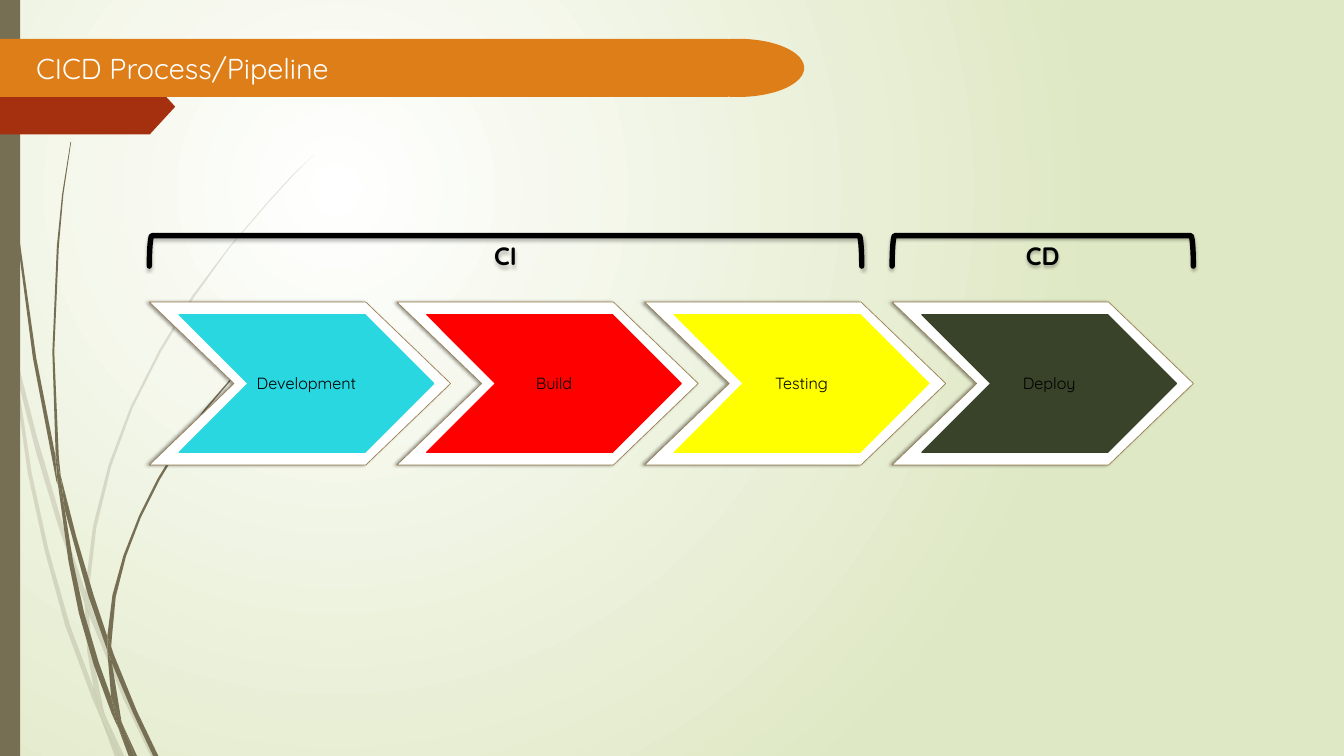
"""Build the CICD pipeline slide."""
from dataclasses import dataclass
from typing import NamedTuple, Optional

from lxml.etree import SubElement
from pptx import Presentation
from pptx.dml.color import RGBColor
from pptx.enum.shapes import MSO_SHAPE as Preset
from pptx.enum.text import MSO_ANCHOR as Anchor, PP_ALIGN as Align
from pptx.oxml.ns import qn
from pptx.util import Emu, Inches, Pt

CELL = Inches(0.1)  # one square grid cell; every length below counts cells
COLUMNS, ROWS = 207.9, 116.9


@dataclass(frozen=True)
class Theme:
    """Colours, font and type sizes of the slide."""
    font: str = "Quicksand"
    title_size: int = 32
    bracket_size: int = 28
    stage_size: int = 18
    white: str = "FFFFFF"
    black: str = "000000"
    meadow: str = "DFE8C4"
    bark: str = "766F54"
    rust: str = "A53010"
    orange: str = "DE7E18"
    frame_line: str = "987D4D"


Box = NamedTuple("Box", [("left", float), ("top", float), ("width", float), ("height", float)])
Shadow = NamedTuple("Shadow", [("opacity", int), ("blur", int), ("distance", int), ("angle", int)])
Stage = NamedTuple("Stage", [("name", str), ("colour", str)])
Bracket = NamedTuple("Bracket", [("name", str), ("left", float), ("width", float)])
Outline = list[tuple[float, float]]

THEME = Theme()
FRAME = Box(23.1, 46.7, 46.6, 25.2)
PITCH, BRACKET_GAP = 38.3, 4.7
INSET_X, INSET_Y, CORE_WIDTH = 4.6, 1.95, 39.4
FRAME_SHADOW, BRACKET_SHADOW = Shadow(40, 4, 3, 180), Shadow(25, 3, 2, 90)
BRACKET_TOP, BRACKET_HEIGHT = 36.45, 4.7
STAGES = [Stage("Development", "28D7E0"), Stage("Build", "FF0000"),
          Stage("Testing", "FFFF00"), Stage("Deploy", "39432A")]
BRACKETS = [Bracket("CI", FRAME.left, 3 * PITCH - BRACKET_GAP),
            Bracket("CD", FRAME.left + 3 * PITCH, FRAME.width)]
PALE_OPACITY = 20
PALE_GRASS: list[Outline] = [
    [(1.7, 54.6), (1.3, 50.2), (0, 43.9), (0, 46.7), (1.6, 53.6)],
    [(9, 81.3), (13.1, 93.4), (13.2, 91.4), (9.7, 81.1), (5.7, 67.5), (2.2, 53.8), (2.7, 58.6),
     (5.6, 70)],
    [(14.4, 94.6), (13.8, 92.9), (13.8, 95.2), (19.1, 108.1), (23.4, 117.1), (24.2, 117.1),
     (19.8, 107.8)],
    [(18.6, 117.1), (19.3, 117.1), (16.4, 110.9)],
    [(14.5, 106.5), (10.8, 96.6), (7.5, 85), (4.9, 73.1), (2.7, 58.6), (1.7, 54.6), (4.3, 73.2),
     (6.9, 85.1), (10.1, 96.8), (14.3, 108.1), (15.7, 111.3), (15.4, 110.2)],
    [(13.1, 93.4), (13.5, 100.7), (14.5, 106.5), (15, 107.9), (16.4, 110.9), (16.1, 110.1),
     (14.2, 100.7), (13.8, 95.2), (13.7, 94.8)],
    [(13.8, 91), (14.9, 81.6), (17.2, 72.1), (20.5, 63.1), (24.9, 54.4), (30, 46), (35.6, 38.2),
     (41.9, 30.9), (45.2, 27.3), (48.6, 23.9), (45.1, 27.2), (41.8, 30.8), (35.5, 38.1),
     (29.7, 45.8), (24.6, 54.2), (20.2, 62.9), (16.8, 71.9), (14.4, 81.3), (13.2, 91),
     (13.2, 91.4), (13.8, 92.9)],
    [(15.7, 111.3), (17.8, 117.1), (18.5, 117.1)],
    [(13.7, 94.9), (13.8, 95.2), (13.8, 92.9), (13.2, 91.4), (13.1, 93.4)],
    [(15, 107.9), (14.5, 106.5), (15.4, 110.3), (15.7, 111.4), (18.5, 117.1), (18.6, 117.1),
     (16.4, 110.9)]]
DARK_GRASS: list[Outline] = [
    [(1, 17.1), (2.6, 36.3), (5.1, 55.4), (8.7, 74.3), (8.9, 75), (8.6, 71.3), (8.6, 70.6),
     (5.6, 55.3), (2.9, 36.2), (1.2, 17), (0.7, 7.5), (0.5, 0), (0.5, 7.5)],
    [(13.7, 92.3), (16.6, 100.6), (16.6, 98.4), (14.5, 92.1), (11.8, 83), (9.4, 73.6),
     (10, 78.8)],
    [(17.6, 101.2), (17.2, 100), (17.2, 102.3), (20.6, 110.3), (23.7, ROWS), (24.5, ROWS),
     (21.2, 110)],
    [(17.2, 107.8), (15.3, 102.5), (13, 94.7), (11.3, 86.8), (10, 78.7), (8.9, 74.4),
     (10.6, 86.8), (12.2, 94.8), (14.5, 102.8), (17.3, 110.4), (18.3, 112.6), (18.1, 111.8)],
    [(9.4, 73.6), (9.1, 70.7), (8.4, 54.4), (9.1, 38.1), (9.8, 30.1), (11, 22), (10.9, 22),
     (9.6, 30.1), (8.8, 38.1), (8.1, 54.4), (8.6, 70), (9.3, 73.5)],
    [(20.8, ROWS), (21.2, ROWS), (19, 112.1)],
    [(8.9, 74.4), (10, 78.8), (9.4, 73.6), (9.3, 73.6), (8.6, 70), (8.6, 70.7)],
    [(17.3, 98.7), (17.9, 92.3), (19.5, 86), (21.8, 80), (24.7, 74.2), (28.1, 68.6),
     (31.9, 63.3), (36.1, 58.4), (38.3, 55.9), (40.7, 53.6), (38.2, 55.8), (36, 58.2),
     (31.7, 63.2), (27.8, 68.4), (24.4, 74), (21.5, 79.8), (19.1, 85.9), (17.4, 92),
     (16.6, 98.4), (17.2, 100)],
    [(18.3, 112.6), (19.9, ROWS), (20.4, ROWS)],
    [(16.6, 100.6), (17.2, 107.8), (18.1, 110.1), (19, 112.1), (18.8, 111.6), (17.3, 102.4),
     (16.9, 101.5)],
    [(16.6, 100.5), (16.9, 101.4), (17.3, 102.3), (17.2, 100), (16.6, 98.4)],
    [(18.1, 110.1), (17.2, 107.8), (18.1, 111.8), (18.3, 112.5), (20.3, ROWS), (20.8, ROWS),
     (19, 112.1)]]


def cells(count: float) -> Emu:
    """Convert grid cells to a length."""
    return Emu(round(count * CELL))


def rgb(colour: str) -> RGBColor:
    """Convert a hex string to a colour."""
    return RGBColor.from_string(colour)


def style(shape, fill: Optional[str], line: Optional[str] = None, width: float = 0,
          shadow: Optional[Shadow] = None) -> None:
    """Set the fill, outline and shadow of a shape."""
    shape.shadow.inherit = False
    for target, colour in ((shape.fill, fill), (shape.line.fill, line)):
        if colour:
            target.solid()
            target.fore_color.rgb = rgb(colour)
        else:
            target.background()
    shape.line.width = Pt(width)
    if shadow:
        outer = SubElement(shape.element.spPr.find(qn("a:effectLst")), qn("a:outerShdw"),
                           blurRad=str(Pt(shadow.blur)), dist=str(Pt(shadow.distance)),
                           dir=str(shadow.angle * 60000), algn="ctr", rotWithShape="0")
        set_opacity(SubElement(outer, qn("a:srgbClr"), val=THEME.black), shadow.opacity)


def set_opacity(colour, percent: int) -> None:
    """Make a colour element partly transparent."""
    SubElement(colour, qn("a:alpha"), val=str(percent * 1000))


def add_preset(slide, preset: Preset, box: Box, fill: Optional[str], **look):
    """Add a styled preset shape."""
    shape = slide.shapes.add_shape(preset, *map(cells, box))
    style(shape, fill, **look)
    return shape


def write(shape, text: str, size: int, colour: str, bold: bool = False,
          align: Align = Align.CENTER) -> None:
    """Write one line of text into a shape."""
    shape.text_frame.text = text
    shape.text_frame.vertical_anchor = Anchor.MIDDLE
    paragraph = shape.text_frame.paragraphs[0]
    paragraph.alignment = align
    font = paragraph.runs[0].font
    font.name, font.size, font.bold = THEME.font, Pt(size), bold
    font.color.rgb = rgb(colour)


def paint_background(slide) -> None:
    """Fill the background with a circular gradient."""
    fill = slide.background.fill
    fill.gradient()
    for stop, colour in zip(fill.gradient_stops, (THEME.white, THEME.meadow)):
        stop.color.rgb = rgb(colour)
    gradient = next(slide.element.iter(qn("a:gradFill")))
    gradient.remove(gradient.find(qn("a:lin")))
    circle = SubElement(gradient, qn("a:path"), path="circle")
    SubElement(circle, qn("a:fillToRect"), l="50000", t="50000", r="100000", b="100000")


def add_grass(slide, outline: Outline, opacity: int = 100) -> None:
    """Draw one piece of a blade of grass."""
    start, *others = [(cells(x), cells(y)) for x, y in outline]
    builder = slide.shapes.build_freeform(*start, scale=1.0)
    builder.add_line_segments(others, close=True)
    shape = builder.convert_to_shape()
    style(shape, THEME.bark)
    if opacity < 100:
        set_opacity(shape.element.spPr.find(qn("a:solidFill"))[0], opacity)


def add_header(slide) -> None:
    """Draw the side strip, the tag and the titled banner."""
    add_preset(slide, Preset.RECTANGLE, Box(0, 0, 3.1, ROWS), THEME.bark)
    tag = add_preset(slide, Preset.PENTAGON, Box(-0.1, 12.2, 27.2, 8.6), THEME.rust)
    tag.adjustments[0] = 0.46
    add_preset(slide, Preset.RECTANGLE, Box(-0.2, 6, 112.8, 9), THEME.orange)
    add_preset(slide, Preset.OVAL, Box(103.9, 6, 20.5, 9), THEME.orange)
    title = slide.shapes.add_textbox(*map(cells, Box(5.6, 7.7, 59.1, 5.5)))
    frame = title.text_frame
    frame.word_wrap = True
    frame.margin_left = frame.margin_top = frame.margin_right = frame.margin_bottom = 0
    write(title, "CICD Process/Pipeline", THEME.title_size, THEME.white, align=Align.LEFT)


def add_stage(slide, index: int, stage: Stage) -> None:
    """Draw a white chevron frame with its coloured core."""
    box = FRAME._replace(left=FRAME.left + index * PITCH)
    frame = add_preset(slide, Preset.CHEVRON, box, THEME.white, line=THEME.frame_line,
                       width=0.75, shadow=FRAME_SHADOW)
    frame.adjustments[0] = 0.52
    core = add_preset(slide, Preset.CHEVRON, Box(box.left + INSET_X, box.top + INSET_Y, CORE_WIDTH,
                      box.height - 2 * INSET_Y), stage.colour, line=stage.colour, width=1.25)
    write(core, stage.name, THEME.stage_size, THEME.black)


def add_bracket(slide, bracket: Bracket) -> None:
    """Draw a left bracket turned to open downwards, with level text."""
    shift = (bracket.width - BRACKET_HEIGHT) / 2
    box = Box(bracket.left + shift, BRACKET_TOP - shift, BRACKET_HEIGHT, bracket.width)
    shape = add_preset(slide, Preset.LEFT_BRACKET, box, None, line=THEME.black,
                       width=6, shadow=BRACKET_SHADOW)
    shape.rotation = 90
    shape.element.spPr.find(qn("a:ln")).set("cap", "rnd")
    write(shape, bracket.name, THEME.bracket_size, THEME.black, bold=True)
    next(shape.element.iter(qn("a:bodyPr"))).set("vert", "vert270")


def main() -> None:
    """Build and save the presentation."""
    presentation = Presentation()
    presentation.slide_width, presentation.slide_height = cells(COLUMNS), cells(ROWS)
    slide = presentation.slides.add_slide(presentation.slide_layouts[6])
    paint_background(slide)
    for outline in PALE_GRASS:
        add_grass(slide, outline, PALE_OPACITY)
    for outline in DARK_GRASS:
        add_grass(slide, outline)
    add_header(slide)
    for index, stage in enumerate(STAGES):
        add_stage(slide, index, stage)
    for bracket in BRACKETS:
        add_bracket(slide, bracket)
    presentation.save("out.pptx")


main()
